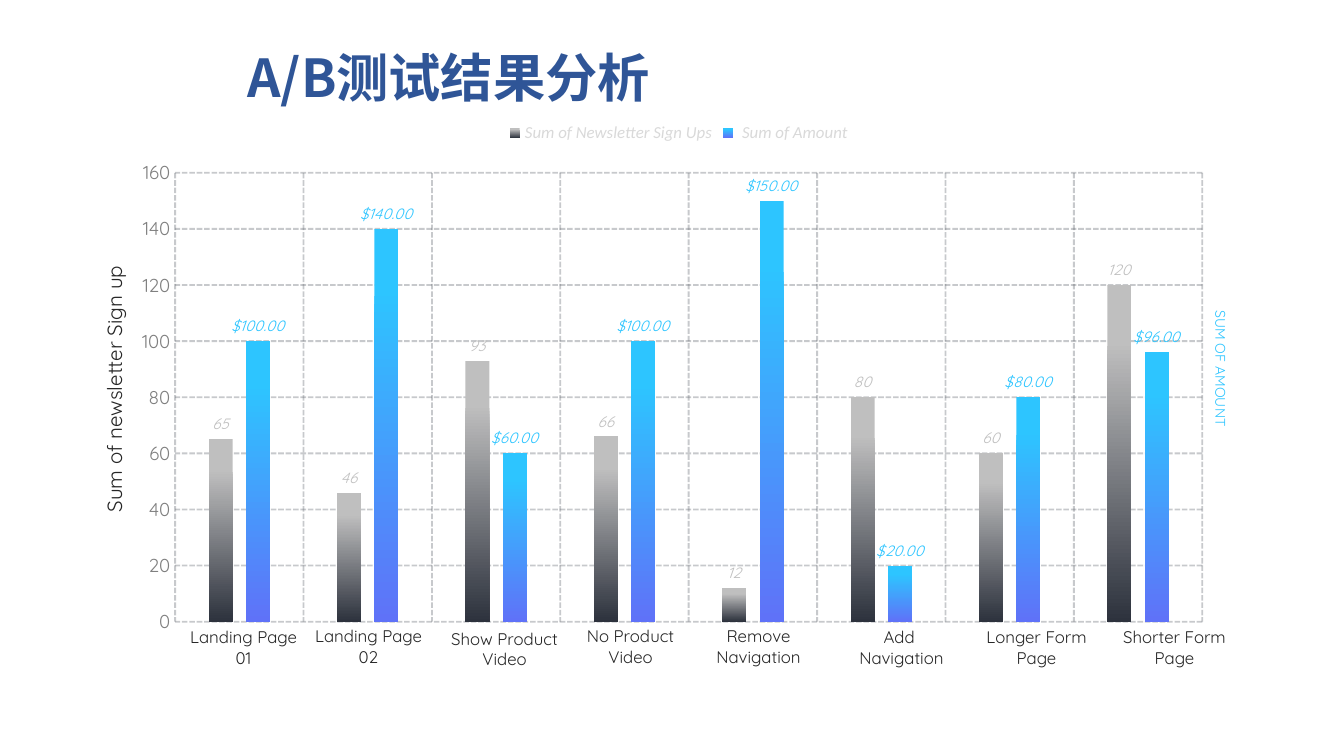
"""Build the A/B test results slide with a clustered column chart."""
from lxml import etree
from pptx import Presentation
from pptx.chart.data import CategoryChartData
from pptx.dml.color import RGBColor
from pptx.enum.chart import XL_CHART_TYPE, XL_LABEL_POSITION, XL_LEGEND_POSITION, XL_TICK_MARK
from pptx.enum.dml import MSO_LINE
from pptx.enum.text import MSO_ANCHOR, MSO_AUTO_SIZE, PP_ALIGN
from pptx.oxml.ns import qn
from pptx.util import Pt

COLUMNS = XL_CHART_TYPE.COLUMN_CLUSTERED
OUTSIDE_END = XL_LABEL_POSITION.OUTSIDE_END
LEGEND_TOP = XL_LEGEND_POSITION.TOP
NO_TICKS = XL_TICK_MARK.NONE
DASHED = MSO_LINE.SQUARE_DOT
TOP, MIDDLE = MSO_ANCHOR.TOP, MSO_ANCHOR.MIDDLE
FIXED, GROW = MSO_AUTO_SIZE.NONE, MSO_AUTO_SIZE.SHAPE_TO_FIT_TEXT
LEFT, CENTER = PP_ALIGN.LEFT, PP_ALIGN.CENTER

PX = 914400 / 134.4
TITLE_FONT, CHART_FONT, LABEL_FONT = "Noto Sans CJK SC", "Calibri", "Quicksand"
INK, GRID, CYAN = "262626", "60656D", "2DC5FF"

TITLE = "A/B测试结果分析"
TITLE_BOX = (234, 46, 656, 77)
CHART_BOX = (130, 108, 1101, 532)
PLOT_AREA = {"x": 0.041, "y": 0.122, "w": 0.933, "h": 0.844}
SERIES = [
    {"name": "Sum of Newsletter Sign Ups", "values": (65, 46, 93, 66, 12, 80, 60, 120),
     "gradient": ((0.17, "BFBFBF"), (1, "2D323D")), "label": "BFBFBF", "format": "General"},
    {"name": " Sum of Amount ", "values": (100, 140, 60, 100, 150, 20, 80, 96),
     "gradient": ((0.15, CYAN), (1, "5F72F8")), "label": CYAN,
     "format": r"_([$$-409]* #,##0.00_);_([$$-409]* \(#,##0.00\)"},
]
CATEGORIES = [
    ("Landing Page 01", 187, 626),
    ("Landing Page 02", 312, 625),
    ("Show Product Video", 448, 628),
    ("No Product Video", 574, 625),
    ("Remove Navigation", 702, 625),
    ("Add \nNavigation", 845, 626),
    ("Longer Form Page", 980, 626),
    ("Shorter Form Page", 1118, 626),
]
CATEGORY_SIZE = (113, 40)
AXIS_TITLES = [
    ("Sum of newsletter Sign up", (-58, 376, 344, 26), 270, 11, INK, None),
    ("SUM OF AMOUNT", (1111, 359, 224, 19), 90, 7.5, CYAN, Pt(11.1)),
]


def emu(lengths):
    return [round(length * PX) for length in lengths]


def rgb(value):
    return RGBColor.from_string(value)


def style(font, name, size, color, **flags):
    font.name, font.size, font.color.rgb = name, Pt(size), rgb(color)
    for flag, value in flags.items():
        setattr(font, flag, value)


def add_title(slide):
    title = slide.shapes.title
    title.left, title.top, title.width, title.height = emu(TITLE_BOX)
    frame = title.text_frame
    frame.auto_size, frame.vertical_anchor = FIXED, TOP
    paragraph = frame.paragraphs[0]
    paragraph.alignment, paragraph.line_spacing = LEFT, 0.9
    run = paragraph.add_run()
    run.text = TITLE
    style(run.font, TITLE_FONT, 28, "2F5597", bold=True)
    east_asian = etree.SubElement(run.font._element, qn("a:ea"))
    east_asian.set("typeface", TITLE_FONT)


def add_label(slide, text, box, size, color, spacing, anchor=TOP, rotation=0):
    label = slide.shapes.add_textbox(*emu(box))
    label.rotation = rotation
    frame = label.text_frame
    frame.word_wrap, frame.auto_size, frame.vertical_anchor = True, GROW, anchor
    frame.margin_left = frame.margin_top = frame.margin_right = frame.margin_bottom = 0
    for index, line in enumerate(text.split("\n")):
        paragraph = frame.add_paragraph() if index else frame.paragraphs[0]
        paragraph.alignment, paragraph.line_spacing = CENTER, spacing
        run = paragraph.add_run()
        run.text = line
        style(run.font, LABEL_FONT, size, color)


def format_gridlines(axis):
    axis.has_major_gridlines = True
    line = axis.major_gridlines.format.line
    line.width, line.color.rgb, line.dash_style = Pt(1), rgb(GRID), DASHED
    color = axis.major_gridlines._xAx.find(f"{qn('c:majorGridlines')}//{qn('a:srgbClr')}")
    etree.SubElement(color, qn("a:alpha")).set("val", "35000")


def set_plot_area(chart):
    plot_area = chart.element.find(f".//{qn('c:plotArea')}")
    for old in plot_area.findall(qn("c:layout")):
        plot_area.remove(old)
    layout = etree.Element(qn("c:layout"))
    plot_area.insert(0, layout)
    manual = etree.SubElement(layout, qn("c:manualLayout"))
    settings = {"layoutTarget": "inner", "xMode": "edge", "yMode": "edge", **PLOT_AREA}
    for tag, value in settings.items():
        etree.SubElement(manual, qn(f"c:{tag}")).set("val", str(value))


def format_series(series, content):
    fill = series.format.fill
    fill.gradient()
    fill.gradient_angle = 270
    for stop, (position, color) in zip(fill.gradient_stops, content["gradient"]):
        stop.position, stop.color.rgb = position, rgb(color)
    labels = series.data_labels
    labels.show_value, labels.position = True, OUTSIDE_END
    labels.number_format, labels.number_format_is_linked = content["format"], False
    style(labels.font, LABEL_FONT, 8, content["label"], italic=True)


def add_results_chart(slide):
    data = CategoryChartData()
    data.categories = [str(number) for number in range(1, len(CATEGORIES) + 1)]
    for content in SERIES:
        data.add_series(content["name"], content["values"])
    chart = slide.shapes.add_chart(COLUMNS, *emu(CHART_BOX), data).chart
    style(chart.font, CHART_FONT, 10, "000000")
    chart.has_title = False
    chart.has_legend = True
    chart.legend.position, chart.legend.include_in_layout = LEGEND_TOP, False
    style(chart.legend.font, CHART_FONT, 9, "D9D9D9", italic=True)

    plot = chart.plots[0]
    plot.gap_width, plot.overlap, plot.vary_by_categories = 278, -55, False
    for series, content in zip(plot.series, SERIES):
        format_series(series, content)

    amounts = chart.value_axis
    amounts.minimum_scale, amounts.maximum_scale, amounts.major_unit = 0, 160, 20
    amounts.major_tick_mark = amounts.minor_tick_mark = NO_TICKS
    amounts.format.line.fill.background()
    style(amounts.tick_labels.font, LABEL_FONT, 10, "808080")
    chart.category_axis.visible = False
    for axis in (amounts, chart.category_axis):
        format_gridlines(axis)
    set_plot_area(chart)


def main():
    deck = Presentation()
    deck.slide_width, deck.slide_height = emu((1344, 756))
    slide = deck.slides.add_slide(deck.slide_layouts[5])
    add_title(slide)
    add_results_chart(slide)
    for text, left, top in CATEGORIES:
        add_label(slide, text, (left, top, *CATEGORY_SIZE), 9, INK, Pt(11.1))
    for text, box, rotation, size, color, spacing in AXIS_TITLES:
        add_label(slide, text, box, size, color, spacing, MIDDLE, rotation)
    deck.save("out.pptx")


if __name__ == "__main__":
    main()
